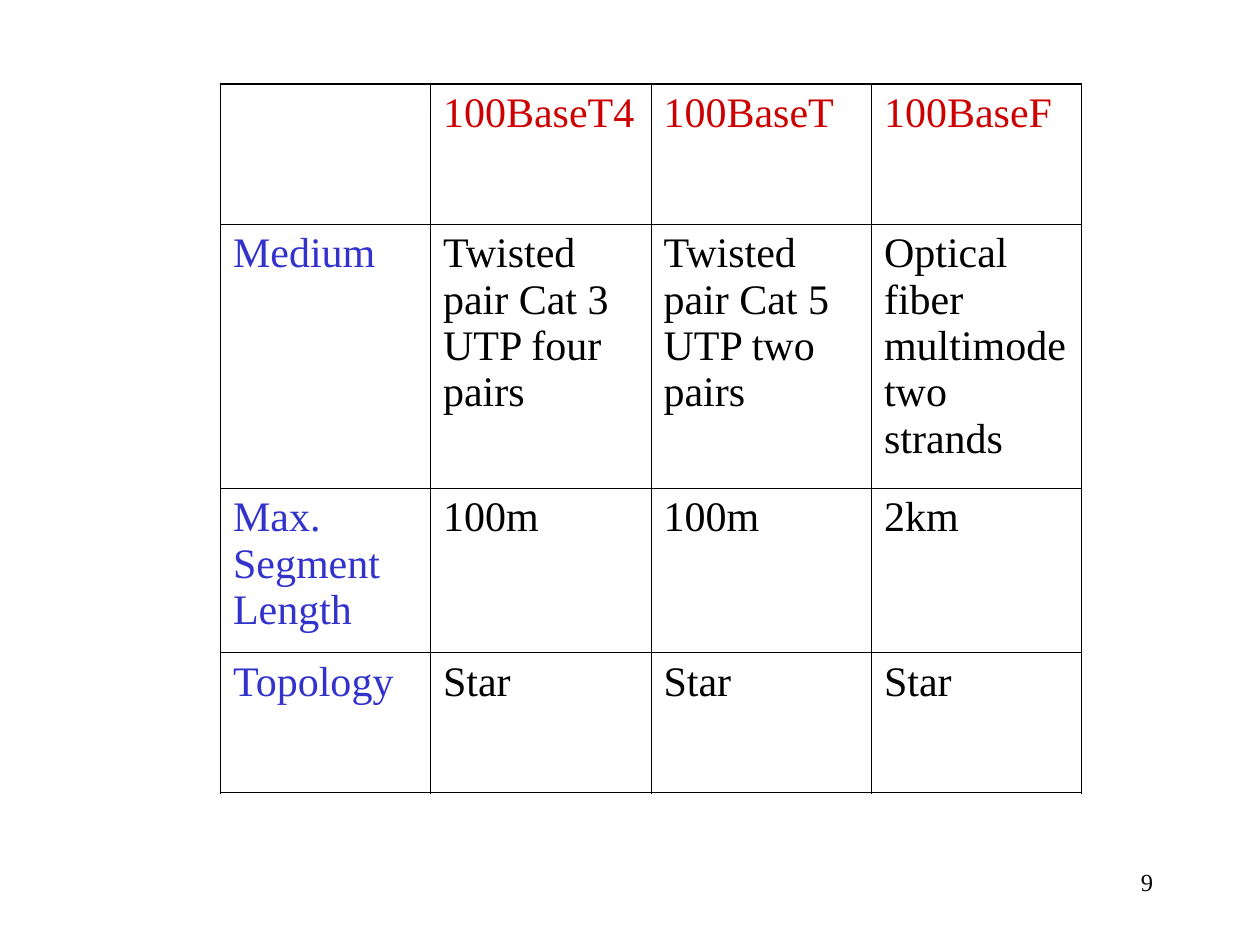
"""Build a slide with a table comparing three Fast Ethernet variants."""
from dataclasses import dataclass

from lxml import etree
from pptx import Presentation
from pptx import util as u
from pptx.dml.color import RGBColor
from pptx.enum import text
from pptx.oxml import ns

FONT = "Times New Roman"
BLACK, RED, BLUE = "000000", "CC0000", "3333CC"
INNER, OUTER = 0.45, 1.08
COLUMN_WIDTHS = (120, 126, 126, 120)


@dataclass(frozen=True)
class Row:
    height: float
    label: str
    values: tuple[str, ...]
    value_color: str = BLACK


ROWS = (
    Row(80, "", ("100BaseT4", "100BaseT", "100BaseF"), RED),
    Row(151, "Medium", (
        "Twisted pair Cat 3 UTP four pairs",
        "Twisted pair Cat 5 UTP two pairs",
        "Optical fiber multimode two strands",
    )),
    Row(94, "Max. Segment Length", ("100m", "100m", "2km")),
    Row(80, "Topology", ("Star", "Star", "Star")),
)


def rgb(color: str) -> RGBColor:
    return RGBColor.from_string(color)


def write(frame, content: str, size: float, color: str) -> None:
    frame.text = content
    paragraph = frame.paragraphs[0]
    paragraph.font.name = FONT
    paragraph.font.size = u.Pt(size)
    paragraph.font.color.rgb = rgb(color)


def add_border(cell, side: str, width: float) -> None:
    properties = cell._tc.get_or_add_tcPr()
    line = etree.SubElement(properties, ns.qn(f"a:ln{side}"), w=str(u.Pt(width)))
    fill = etree.SubElement(line, ns.qn("a:solidFill"))
    etree.SubElement(fill, ns.qn("a:srgbClr"), val=BLACK)


def add_comparison(slide, left: float, top: float) -> None:
    shape = slide.shapes.add_table(
        len(ROWS), len(COLUMN_WIDTHS), u.Pt(left), u.Pt(top),
        u.Pt(sum(COLUMN_WIDTHS)), u.Pt(sum(row.height for row in ROWS)),
    )
    table = shape.table
    table.first_row = table.horz_banding = False
    for column, width in zip(table.columns, COLUMN_WIDTHS):
        column.width = u.Pt(width)
    for i, row in enumerate(ROWS):
        table.rows[i].height = u.Pt(row.height)
        for j, content in enumerate((row.label, *row.values)):
            cell = table.cell(i, j)
            write(cell.text_frame, content, 24, row.value_color if j else BLUE)
            edges = {
                "L": j == 0,
                "R": j == len(COLUMN_WIDTHS) - 1,
                "T": i == 0,
                "B": i == len(ROWS) - 1,
            }
            for side, is_outer in edges.items():
                add_border(cell, side, OUTER if is_outer else INNER)
            cell.fill.background()


def add_page_number(slide, number: str) -> None:
    box = slide.shapes.add_textbox(u.Pt(516), u.Pt(492), u.Pt(150), u.Pt(36))
    box.text_frame.word_wrap = True
    write(box.text_frame, number, 14, BLACK)
    box.text_frame.paragraphs[0].alignment = text.PP_ALIGN.RIGHT


def main() -> None:
    presentation = Presentation()
    presentation.slide_width, presentation.slide_height = u.Pt(720), u.Pt(540)
    slide = presentation.slides.add_slide(presentation.slide_layouts[6])
    add_comparison(slide, 126, 48)
    add_page_number(slide, "9")
    presentation.save("out.pptx")


if __name__ == "__main__":
    main()
